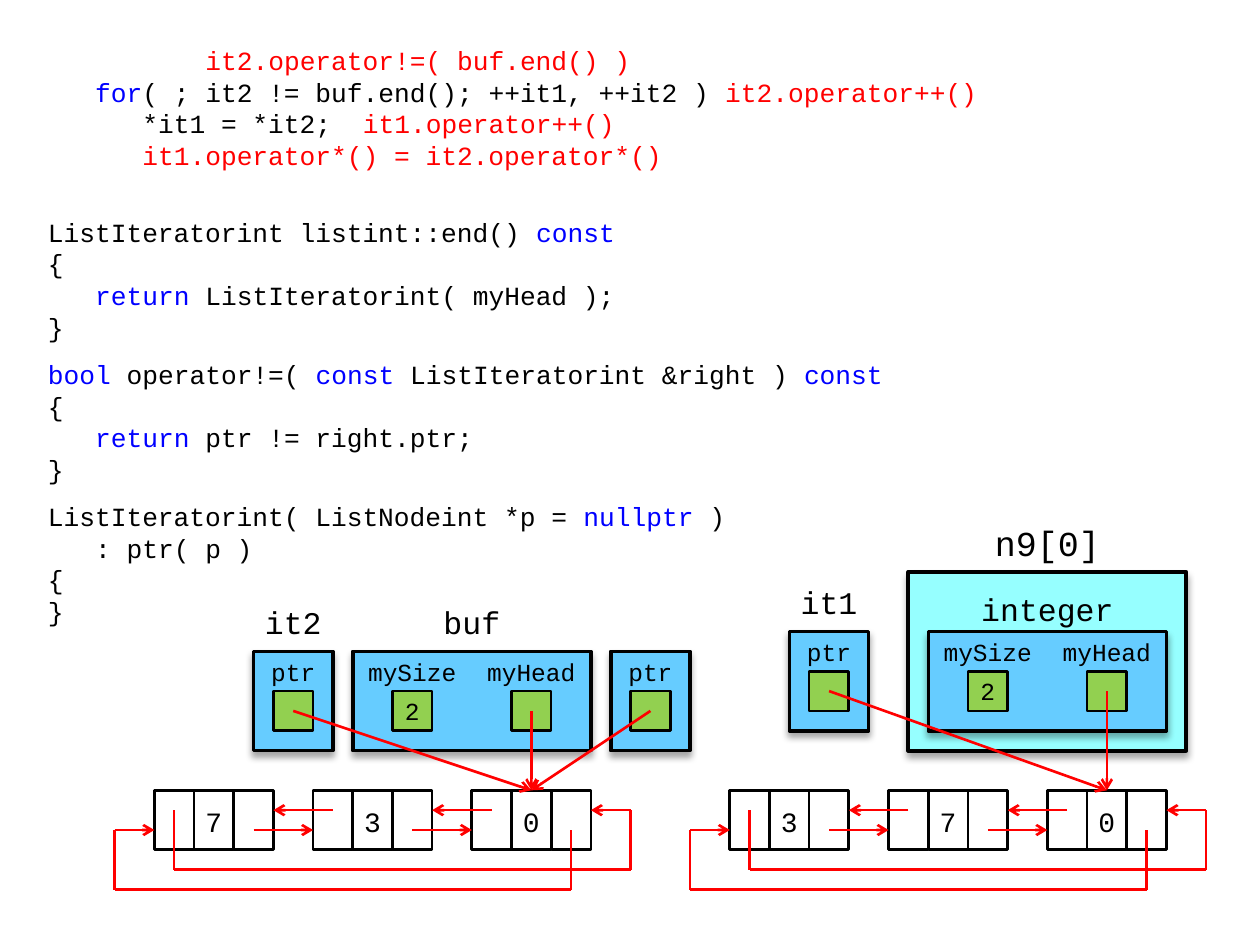
import lxml.etree
import pptx
import pptx.dml.color
import pptx.enum.shapes
import pptx.enum.text
import pptx.oxml
import pptx.oxml.ns
import pptx.util

Inches = pptx.util.Inches
Pt = pptx.util.Pt
SHAPES = pptx.enum.shapes.MSO_SHAPE
FONT = "Courier New"
COLORS = {
    "text": "000000", "keyword": "0000FF", "call": "FF0000", "arrow": "FF0000",
    "owner": "96FFFF", "object": "66CCFF", "field": "92D050",
}
UNIT = 0.63 / 4
CHARACTER = 0.125
CODE = [
    (10, 0, [("it2.operator!=( buf.end() )", "call")]),
    (3, 0, [("for", "keyword"), ("( ; it2 != buf.end(); ++it1, ++it2 )", "text"),
            (" it2.operator++()", "call")]),
    (6, 0, [("*it1 = *it2;\t", "text"), ("it1.operator++()", "call")]),
    (6, 0, [("it1.operator*() = it2.operator*()", "call")]),
    (0, 26, [("ListIteratorint listint::end() ", "text"), ("const", "keyword")]),
    (0, 0, [("{", "text")]),
    (3, 0, [("return", "keyword"), (" ListIteratorint( myHead );", "text")]),
    (0, 0, [("}", "text")]),
    (0, 9, [("bool ", "keyword"), ("operator!=( ", "text"), ("const ", "keyword"),
            ("ListIteratorint &right ) ", "text"), ("const", "keyword")]),
    (0, 0, [("{", "text")]),
    (3, 0, [("return", "keyword"), (" ptr != right.ptr;", "text")]),
    (0, 0, [("}", "text")]),
    (0, 9, [("ListIteratorint( ListNodeint *p = ", "text"), ("nullptr", "keyword"),
            (" )", "text")]),
    (3, 0, [(": ptr( p )", "text")]),
    (0, 0, [("{", "text")]),
    (0, 0, [("}", "text")]),
]


def color(name):
    """Return the named colour."""
    return pptx.dml.color.RGBColor.from_string(COLORS[name])


def grid_x(column):
    """Return the horizontal place of a grid column."""
    return Inches(0.28 + column * UNIT)


def grid_y(row):
    """Return the vertical place of a grid row."""
    return Inches(0.13 + row * UNIT)


def place(left, top, width, height):
    """Return a grid rectangle as lengths."""
    return grid_x(left), grid_y(top), Inches(width * UNIT), Inches(height * UNIT)


def write_text(shape, text, size, drop=0):
    """Write one centred line, lowered by a drop in inches."""
    frame = shape.text_frame
    frame.word_wrap = False
    frame.vertical_anchor = pptx.enum.text.MSO_ANCHOR.MIDDLE
    frame.margin_left = frame.margin_right = frame.margin_bottom = 0
    frame.margin_top = Inches(drop)
    paragraph = frame.paragraphs[0]
    paragraph.text = text
    paragraph.alignment = pptx.enum.text.PP_ALIGN.CENTER
    paragraph.font.name = FONT
    paragraph.font.size = Pt(size)
    paragraph.font.color.rgb = color("text")


def add_label(slide, text, area, size, drop=0):
    """Add a caption in a grid rectangle."""
    write_text(slide.shapes.add_textbox(*place(*area)), text, size, drop)


def add_cell(slide, area, fill=None, text="", size=14, drop=0):
    """Add an outlined cell, with a value if it has one."""
    cell = slide.shapes.add_shape(SHAPES.RECTANGLE, *place(*area))
    cell.shadow.inherit = False
    if fill:
        cell.fill.solid()
        cell.fill.fore_color.rgb = color(fill)
    else:
        cell.fill.background()
    cell.line.color.rgb = color("text")
    cell.line.width = Pt(1.5)
    if text:
        write_text(cell, text, size, drop)


def add_box(slide, area, fill, width=2):
    """Add a filled box with a soft shadow below it."""
    box = slide.shapes.add_shape(SHAPES.FLOWCHART_PROCESS, *place(*area))
    box.shadow.inherit = False
    box.fill.solid()
    box.fill.fore_color.rgb = color(fill)
    box.line.color.rgb = color("text")
    box.line.width = Pt(width)
    effects = box._element.spPr.find(pptx.oxml.ns.qn("a:effectLst"))
    effects.append(pptx.oxml.parse_xml(
        f'<a:outerShdw {pptx.oxml.ns.nsdecls("a")} blurRad="{Pt(4)}" dist="{Pt(3)}" '
        'dir="5400000" rotWithShape="0"><a:srgbClr val="000000">'
        '<a:alpha val="35000"/></a:srgbClr></a:outerShdw>'))


def add_line(slide, start, end, arrow=False):
    """Add a red line between two grid points."""
    line = slide.shapes.add_connector(
        pptx.enum.shapes.MSO_CONNECTOR.STRAIGHT,
        grid_x(start[0]), grid_y(start[1]), grid_x(end[0]), grid_y(end[1]))
    line.line.color.rgb = color("arrow")
    line.line.width = Pt(1.5)
    qn = pptx.oxml.ns.qn
    if arrow:
        lxml.etree.SubElement(line.line._get_or_add_ln(), qn("a:tailEnd"), type="arrow")
    lxml.etree.SubElement(line._element.spPr, qn("a:effectLst"))


def add_path(slide, points):
    """Add joined lines that end in an arrowhead."""
    for index, (start, end) in enumerate(zip(points, points[1:])):
        add_line(slide, start, end, arrow=index == len(points) - 2)


def add_code(slide):
    """Fill the body placeholder with the coloured code."""
    slide.shapes.title._element.getparent().remove(slide.shapes.title._element)
    body = slide.placeholders[1]
    body.left, body.top = Inches(0.28), Inches(0.3)
    body.width, body.height = Inches(9.29), Inches(4.72)
    frame = body.text_frame
    frame.auto_size = pptx.enum.text.MSO_AUTO_SIZE.NONE
    for index, (indent, gap, pieces) in enumerate(CODE):
        paragraph = frame.add_paragraph() if index else frame.paragraphs[0]
        paragraph.line_spacing = Pt(18.05)
        paragraph.space_before = Pt(gap)
        properties = paragraph._p.get_or_add_pPr()
        properties.set("marL", "0")
        properties.set("indent", str(Inches(indent * CHARACTER)))
        qn = pptx.oxml.ns.qn
        lxml.etree.SubElement(properties, qn("a:buNone"))
        if any("\t" in text for text, _ in pieces):
            tabs = lxml.etree.SubElement(properties, qn("a:tabLst"))
            lxml.etree.SubElement(tabs, qn("a:tab"), pos=str(Inches(3.5)), algn="l")
        paragraph.font.name = FONT
        paragraph.font.size = Pt(15)
        for text, tone in pieces:
            run = paragraph.add_run()
            run.text = text
            run.font.color.rgb = color(tone)


def add_iterator(slide, left, top, name=""):
    """Add an iterator object with its pointer field."""
    add_box(slide, (left, top, 4, 5), "object")
    add_label(slide, "ptr", (left, top, 4, 2), 14)
    add_cell(slide, (left + 1, top + 2, 2, 2), "field")
    if name:
        add_label(slide, name, (left, top - 3, 4, 3), 18)


def add_list_object(slide, left, top, name, drop=0):
    """Add a list object with its size and head fields."""
    add_box(slide, (left, top, 12, 5), "object")
    for offset, field, value in ((0, "mySize", "2"), (6, "myHead", "")):
        add_label(slide, field, (left + offset, top, 6, 2), 14)
        add_cell(slide, (left + offset + 2, top + 2, 2, 2), "field", value)
    add_label(slide, name, (left + 2, top - 3, 8, 3), 18, drop)


def add_linked_nodes(slide, left, values):
    """Add a circular chain of three-cell nodes."""
    for index, value in enumerate(values):
        node = left + 8 * index
        for offset, text in ((0, ""), (2, value), (4, "")):
            add_cell(slide, (node + offset, 39, 2, 3), None, text, 16, 0.02)
        if index:
            add_line(slide, (node + 1, 40), (node - 2, 40), arrow=True)
            add_line(slide, (node - 3, 41), (node, 41), arrow=True)
    end = left + 8 * len(values) - 2
    add_path(slide, [(end - 1, 41), (end - 1, 44), (left - 2, 44),
                     (left - 2, 41), (left, 41)])
    add_path(slide, [(left + 1, 40), (left + 1, 43), (end + 2, 43),
                     (end + 2, 40), (end, 40)])


def main():
    """Build the slide and save it."""
    presentation = pptx.Presentation()
    presentation.slide_width, presentation.slide_height = Inches(10), Inches(7.5)
    slide = presentation.slides.add_slide(presentation.slide_layouts[1])
    add_code(slide)
    add_box(slide, (44, 28, 14, 9), "owner", 2.25)
    add_label(slide, "n9[0]", (47, 25, 8, 3), 20)
    add_list_object(slide, 16, 32, "buf")
    add_list_object(slide, 45, 31, "integer", 0.12)
    for left, top, name in ((11, 32, "it2"), (29, 32, ""), (38, 31, "it1")):
        add_iterator(slide, left, top, name)
    add_linked_nodes(slide, 6, "730")
    add_linked_nodes(slide, 35, "370")
    for start, end in (((25, 35), 25), ((13, 35), 25), ((31, 35), 25),
                       ((54, 34), 54), ((40, 34), 54)):
        add_line(slide, start, (end, 39), arrow=True)
    presentation.save("out.pptx")


main()
